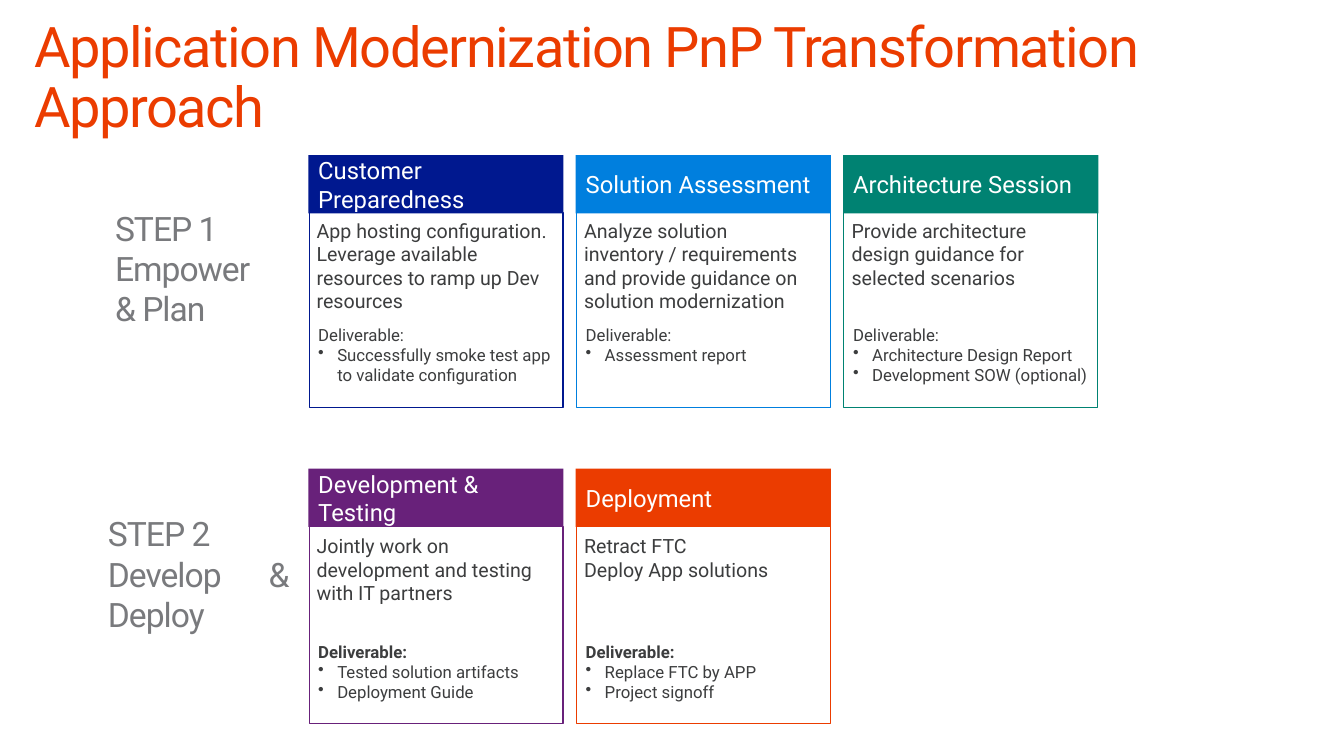
import dataclasses

import lxml.etree
import pptx
import pptx.dml.color
import pptx.enum.shapes
import pptx.enum.text
import pptx.oxml.ns
import pptx.util

Cm = pptx.util.Cm
Align = pptx.enum.text.PP_ALIGN
Anchor = pptx.enum.text.MSO_ANCHOR


@dataclasses.dataclass(frozen=True)
class Theme:
    font: str = "Roboto"
    title: str = "EB3C00"
    step: str = "797A7D"
    text: str = "3C3D3E"
    white: str = "FFFFFF"
    navy: str = "00188F"
    blue: str = "007FDE"
    teal: str = "008272"
    plum: str = "68217A"
    red: str = "EB3C00"
    title_size: float = 40
    step_size: float = 24
    head_size: float = 17
    body_size: float = 14
    list_size: float = 12


@dataclasses.dataclass(frozen=True)
class Row:
    """Top of a row of cards and the offsets of its parts, in cm."""
    top: float
    body: float
    goal: float
    goal_high: float
    frame_high: float
    bold: bool


THEME = Theme()
LEFT, PITCH, WIDE, HEAD = 7.77, 6.74, 6.43, 1.47
PAD = (0.25, 0.13, 0.25, 0.13)
FLAT = (0, 0, 0, 0)

ROWS = (
    Row(3.91, 1.47, 4.14, 1.9, 4.9, False),
    Row(11.81, 1.52, 4.22, 1.6, 4.98, True),
)

CARDS = (
    (
        (THEME.navy, "Customer Preparedness",
         ["App hosting configuration. Leverage available resources to ramp up Dev resources"],
         ["Successfully smoke test app to validate configuration"]),
        (THEME.blue, "Solution Assessment",
         ["Analyze solution inventory / requirements and provide guidance on solution modernization"],
         ["Assessment report"]),
        (THEME.teal, "Architecture Session",
         ["Provide architecture design guidance for selected scenarios"],
         ["Architecture Design Report", "Development SOW (optional)"]),
    ),
    (
        (THEME.plum, "Development & Testing",
         ["Jointly work on development and testing with IT partners"],
         ["Tested solution artifacts", "Deployment Guide"]),
        (THEME.red, "Deployment",
         ["Retract FTC", "Deploy App solutions"],
         ["Replace FTC by APP", "Project signoff"]),
    ),
)


def rgb(code):
    return pptx.dml.color.RGBColor.from_string(code)


def add_rect(slide, place, fill=None, line=None):
    kind = pptx.enum.shapes.MSO_SHAPE.RECTANGLE
    rect = slide.shapes.add_shape(kind, *map(Cm, place))
    rect.shadow.inherit = False
    if fill:
        rect.fill.solid()
        rect.fill.fore_color.rgb = rgb(fill)
    else:
        rect.fill.background()
    if line:
        rect.line.color.rgb = rgb(line)
        rect.line.width = pptx.util.Pt(0.75)
    else:
        rect.line.fill.background()
    return rect


def set_frame(shape, pad=PAD, anchor=Anchor.TOP):
    frame = shape.text_frame
    frame.word_wrap = True
    frame.vertical_anchor = anchor
    sides = map(Cm, pad)
    frame.margin_left, frame.margin_top, frame.margin_right, frame.margin_bottom = sides
    return frame


def add_frame(slide, place, pad=PAD):
    return set_frame(slide.shapes.add_textbox(*map(Cm, place)), pad)


def add_para(frame, first=False):
    para = frame.paragraphs[0] if first else frame.add_paragraph()
    para.alignment = Align.LEFT
    return para


def add_run(para, text, size, color, bold=False, space=0):
    """Add one run; space is the letter spacing in points."""
    run = para.add_run()
    run.text = text
    run.font.name = THEME.font
    run.font.size = pptx.util.Pt(size)
    run.font.color.rgb = rgb(color)
    run.font.bold = bold
    if space:
        run._r.get_or_add_rPr().set("spc", str(round(space * 100)))


def set_bullet(para):
    props = para._p.get_or_add_pPr()
    props.set("marL", str(Cm(0.48)))
    props.set("indent", str(-Cm(0.48)))
    mark = lxml.etree.SubElement(props, pptx.oxml.ns.qn("a:buChar"))
    mark.set("char", "•")


def add_title(slide, text):
    frame = add_frame(slide, (0.86, 0.48, 32.23, 2.08), FLAT)
    para = add_para(frame, True)
    para.line_spacing = 0.9
    add_run(para, text, THEME.title_size, THEME.title, space=-1)


def add_step(slide, left, top, name):
    """Add a step label and return the empty paragraph below its name."""
    frame = add_frame(slide, (left, top, 4.55, 3.07), FLAT)
    add_run(add_para(frame, True), name, THEME.step_size, THEME.step, space=-0.7)
    return add_para(frame)


def add_head(slide, left, top, color, text):
    rect = add_rect(slide, (left, top, WIDE, HEAD), color)
    frame = set_frame(rect, anchor=Anchor.MIDDLE)
    add_run(add_para(frame, True), text, THEME.head_size, THEME.white)


def add_body(slide, left, top, lines):
    frame = add_frame(slide, (left, top, WIDE, 2.4))
    for spot, line in enumerate(lines):
        add_run(add_para(frame, spot == 0), line, THEME.body_size, THEME.text)


def add_goals(slide, left, top, high, goals, bold):
    rect = add_rect(slide, (left, top, WIDE, high), THEME.white)
    frame = set_frame(rect, (0.25, 0.13, 0.25, 0))
    add_run(add_para(frame, True), "Deliverable:", THEME.list_size, THEME.text, bold)
    for goal in goals:
        para = add_para(frame)
        set_bullet(para)
        add_run(para, goal, THEME.list_size, THEME.text)


def add_card(slide, left, row, card):
    color, head, lines, goals = card
    add_head(slide, left, row.top, color, head)
    add_body(slide, left - 0.04, row.top + row.body, lines)
    add_goals(slide, left, row.top + row.goal, row.goal_high, goals, row.bold)
    add_rect(slide, (left + 0.02, row.top + HEAD - 0.02, 6.4, row.frame_high), line=color)


def main():
    deck = pptx.Presentation()
    deck.slide_width, deck.slide_height = Cm(33.87), Cm(19.05)
    slide = deck.slides.add_slide(deck.slide_layouts[6])
    add_title(slide, "Application Modernization PnP Transformation Approach")
    for row, cards in zip(ROWS, CARDS):
        for spot, card in enumerate(cards):
            add_card(slide, LEFT + spot * PITCH, row, card)

    plan = add_step(slide, 2.9, 5.23, "STEP 1")
    add_run(plan, "Empower", THEME.step_size, THEME.step, space=-0.7)
    plan.add_line_break()
    add_run(plan, "& Plan", THEME.step_size, THEME.step, space=-0.7)

    build = add_step(slide, 2.72, 12.93, "STEP 2")
    build.alignment = Align.JUSTIFY
    add_run(build, "Develop & Deploy", THEME.step_size, THEME.step, space=-0.7)
    deck.save("out.pptx")


if __name__ == "__main__":
    main()
